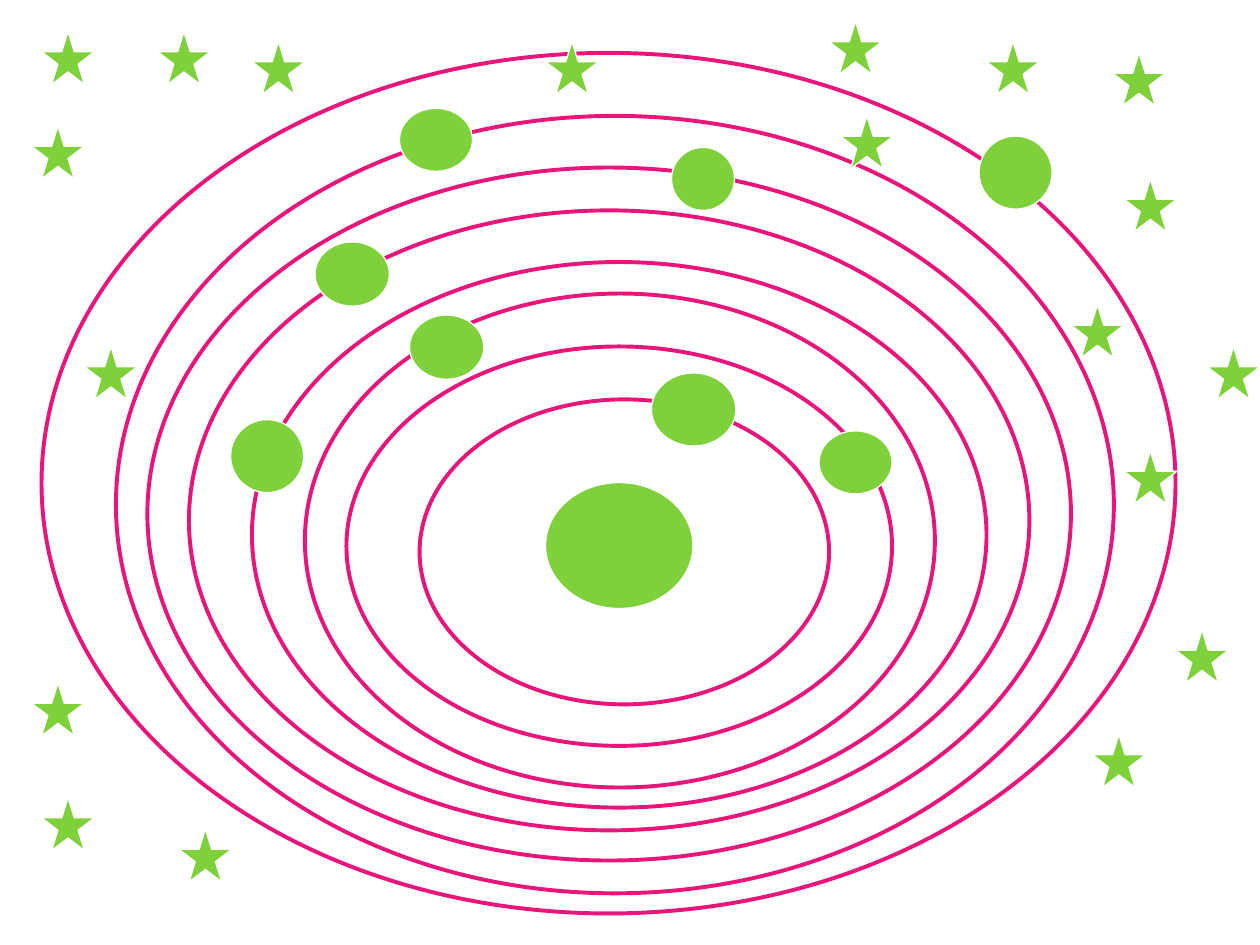
from typing import NamedTuple, Optional

from pptx import Presentation
from pptx.dml.color import RGBColor
from pptx.enum.shapes import MSO_SHAPE as Preset
from pptx.util import Inches, Pt

PINK = RGBColor(0xEA, 0x15, 0x7A)
GREEN = RGBColor(0x7F, 0xD1, 0x3B)
WHITE = RGBColor(0xFF, 0xFF, 0xFF)
STAR_SIZE = 0.42


class Box(NamedTuple):
    left: float
    top: float
    width: float
    height: float


class Style(NamedTuple):
    fill: Optional[RGBColor]
    line: RGBColor
    weight: float


ORBIT_STYLE = Style(None, PINK, 2.25)
BODY_STYLE = Style(GREEN, WHITE, 0.75)

ORBITS = [
    Box(0.33, 0.42, 9, 6.83),
    Box(0.92, 0.92, 7.92, 6.17),
    Box(1.17, 1.33, 7.33, 5.5),
    Box(1.5, 1.67, 6.67, 4.92),
    Box(2, 2.08, 5.83, 4.33),
    Box(2.42, 2.33, 5, 3.92),
    Box(2.75, 2.75, 4.33, 3.17),
    Box(3.33, 3.17, 3.25, 2.42),
]

SUN = Box(4.33, 3.83, 1.17, 1)

PLANETS = [
    Box(7.77, 1.08, 0.58, 0.58),
    Box(3.17, 0.86, 0.58, 0.5),
    Box(1.83, 3.33, 0.58, 0.58),
    Box(2.5, 1.92, 0.59, 0.51),
    Box(6.5, 3.42, 0.58, 0.5),
    Box(5.17, 2.96, 0.67, 0.58),
    Box(5.33, 1.17, 0.5, 0.5),
    Box(3.25, 2.5, 0.59, 0.51),
]

STAR_CORNERS = [
    (0.25, 1), (0.33, 0.25), (1.25, 0.25), (2, 0.33), (7.83, 0.33),
    (8.83, 0.42), (8.92, 1.42), (6.58, 0.17), (6.67, 0.92), (8.5, 2.42),
    (9.33, 5), (8.67, 5.83), (9.58, 2.75), (8.92, 3.58), (0.67, 2.75),
    (0.25, 5.42), (0.33, 6.33), (1.42, 6.58), (4.33, 0.33),
]


def draw_shape(slide, preset: Preset, box: Box, style: Style) -> None:
    shape = slide.shapes.add_shape(preset, *(Inches(length) for length in box))
    shape.shadow.inherit = False
    if style.fill is None:
        shape.fill.background()
    else:
        shape.fill.solid()
        shape.fill.fore_color.rgb = style.fill
    shape.line.color.rgb = style.line
    shape.line.width = Pt(style.weight)


def main() -> None:
    presentation = Presentation()
    presentation.slide_width = Inches(10)
    presentation.slide_height = Inches(7.5)
    slide = presentation.slides.add_slide(presentation.slide_layouts[6])

    for orbit in ORBITS:
        draw_shape(slide, Preset.OVAL, orbit, ORBIT_STYLE)
    for body in [SUN, *PLANETS]:
        draw_shape(slide, Preset.OVAL, body, BODY_STYLE)
    for left, top in STAR_CORNERS:
        star = Box(left, top, STAR_SIZE, STAR_SIZE)
        draw_shape(slide, Preset.STAR_5_POINT, star, BODY_STYLE)

    presentation.save("out.pptx")


if __name__ == "__main__":
    main()
